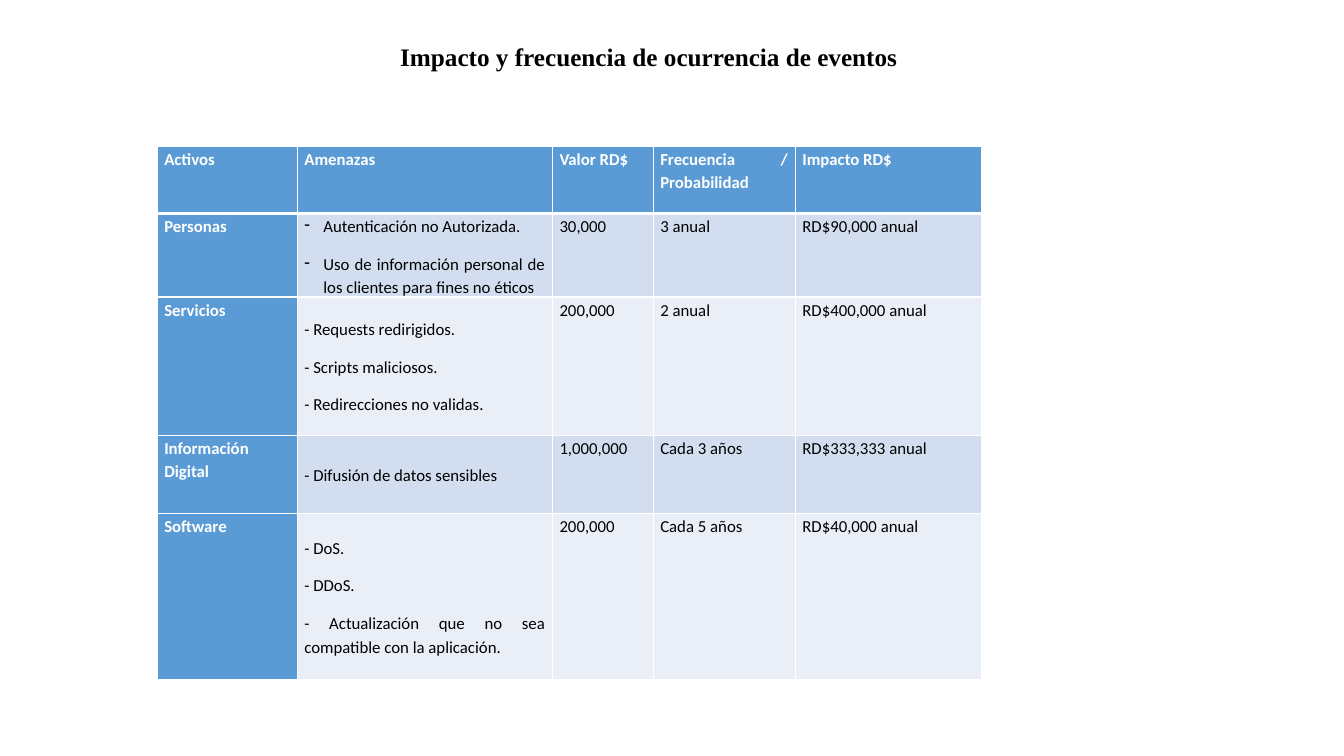
from dataclasses import dataclass
from typing import Any

from lxml import etree
from pptx import Presentation
from pptx.dml.color import RGBColor
from pptx.enum.text import MSO_ANCHOR, MSO_AUTO_SIZE, PP_ALIGN
from pptx.oxml.ns import qn
from pptx.util import Cm, Pt

LEFT, JUSTIFY = PP_ALIGN.LEFT, PP_ALIGN.JUSTIFY
TOP, MIDDLE = MSO_ANCHOR.TOP, MSO_ANCHOR.MIDDLE
FIT_SHAPE = MSO_AUTO_SIZE.SHAPE_TO_FIT_TEXT

WHITE, BLACK, BLUE = "FFFFFF", "000000", "5B9BD5"
BANDS = ("D2DEEF", "EAEFF7")
THREAT_COLUMN = 1
COLUMN_WIDTHS = (3.53, 6.43, 2.54, 3.58, 4.7)
HEADINGS = ("Activos", "Amenazas", "Valor RD$", "Frecuencia / Probabilidad", "Impacto RD$")
HEADING_HEIGHT = 1.7
TABLE_HEIGHT = 13.44

TITLE_FONT = {"name": "Times New Roman", "size": Pt(18), "bold": True}
LABEL_FONT = {"name": "Calibri", "size": Pt(12), "bold": True}
BODY_FONT = {**LABEL_FONT, "bold": False}
CELL_PARAGRAPH = {"alignment": JUSTIFY, "line_spacing": 1.15, "space_after": Pt(10)}
CELL_MARGINS = {
    "margin_left": Cm(0.18),
    "margin_right": Cm(0.18),
    "margin_top": 0,
    "margin_bottom": 0,
}


@dataclass(frozen=True)
class Asset:
    name: str
    threats: tuple[str, ...]
    value: str
    frequency: str
    impact: str
    height: float
    bulleted: bool = False


ASSETS = (
    Asset(
        "Personas",
        (
            "Autenticación no Autorizada.",
            "Uso de información personal de los clientes para fines no éticos",
        ),
        "30,000", "3 anual", "RD$90,000 anual", 1.32, bulleted=True,
    ),
    Asset(
        "Servicios",
        ("- Requests redirigidos.", "- Scripts maliciosos.", "- Redirecciones no validas."),
        "200,000", "2 anual", "RD$400,000 anual", 3.48,
    ),
    Asset(
        "Información Digital",
        ("- Difusión de datos sensibles",),
        "1,000,000", "Cada 3 años", "RD$333,333 anual", 1.98,
    ),
    Asset(
        "Software",
        ("- DoS.", "- DDoS.", "- Actualización que no sea compatible con la aplicación."),
        "200,000", "Cada 5 años", "RD$40,000 anual", 4.17,
    ),
)


def apply_format(target: Any, values: dict[str, Any]) -> None:
    for name, value in values.items():
        setattr(target, name, value)


def set_color(color_format: Any, color: str) -> None:
    color_format.rgb = RGBColor.from_string(color)


def add_text(paragraph: Any, text: str, font: dict[str, Any], color: str) -> None:
    run = paragraph.add_run()
    run.text = text
    apply_format(run.font, font)
    set_color(run.font.color, color)


def add_dash_bullet(paragraph: Any) -> None:
    properties = paragraph._p.get_or_add_pPr()
    properties.set("marL", str(Cm(0.48)))
    properties.set("indent", str(-Cm(0.48)))
    etree.SubElement(properties, qn("a:buChar"), char="-")


def add_borders(cell: Any, top: float, bottom: float) -> None:
    properties = cell._tc.get_or_add_tcPr()
    for side, width in (("lnL", 1), ("lnR", 1), ("lnT", top), ("lnB", bottom)):
        line = etree.SubElement(properties, qn(f"a:{side}"), w=str(Pt(width)))
        fill = etree.SubElement(line, qn("a:solidFill"))
        etree.SubElement(fill, qn("a:srgbClr"), val=WHITE)


def fill_cell(
    table: Any, row: int, column: int, texts: tuple[str, ...], bulleted: bool = False
) -> None:
    cell = table.cell(row, column)
    is_label = row == 0 or column == 0
    add_borders(cell, top=3 if row == 1 else 1, bottom=3 if row == 0 else 1)
    cell.fill.solid()
    set_color(cell.fill.fore_color, BLUE if is_label else BANDS[(row - 1) % 2])
    apply_format(cell, CELL_MARGINS)
    cell.vertical_anchor = MIDDLE if row and column == THREAT_COLUMN else TOP
    frame = cell.text_frame
    for index, text in enumerate(texts):
        paragraph = frame.add_paragraph() if index else frame.paragraphs[0]
        if bulleted:
            add_dash_bullet(paragraph)
        apply_format(paragraph, CELL_PARAGRAPH)
        add_text(
            paragraph,
            text,
            LABEL_FONT if is_label else BODY_FONT,
            WHITE if is_label else BLACK,
        )


def add_title(slide: Any) -> None:
    title = slide.shapes.title
    apply_format(
        title,
        {"left": Cm(9.83), "top": Cm(0.91), "width": Cm(13.34), "height": Cm(1.02)},
    )
    frame = title.text_frame
    apply_format(
        frame, {"word_wrap": False, "auto_size": FIT_SHAPE, "vertical_anchor": TOP}
    )
    paragraph = frame.paragraphs[0]
    paragraph.alignment = LEFT
    add_text(paragraph, "Impacto y frecuencia de ocurrencia de eventos", TITLE_FONT, BLACK)


def add_risk_table(slide: Any) -> None:
    shape = slide.shapes.add_table(
        len(ASSETS) + 1, len(HEADINGS),
        Cm(3.96), Cm(3.68), Cm(sum(COLUMN_WIDTHS)), Cm(TABLE_HEIGHT),
    )
    table = shape.table
    apply_format(table, {"first_row": True, "first_col": True, "horz_banding": False})
    for column, width in zip(table.columns, COLUMN_WIDTHS):
        column.width = Cm(width)
    heights = (HEADING_HEIGHT, *(asset.height for asset in ASSETS))
    for row, height in zip(table.rows, heights):
        row.height = Cm(height)
    shape.height = Cm(TABLE_HEIGHT)

    for column, heading in enumerate(HEADINGS):
        fill_cell(table, 0, column, (heading,))
    for row, asset in enumerate(ASSETS, start=1):
        contents = (
            (asset.name,), asset.threats, (asset.value,), (asset.frequency,), (asset.impact,)
        )
        for column, texts in enumerate(contents):
            fill_cell(table, row, column, texts, asset.bulleted and column == THREAT_COLUMN)


def main() -> None:
    presentation = Presentation()
    apply_format(presentation, {"slide_width": Cm(33.87), "slide_height": Cm(19.05)})
    slide = presentation.slides.add_slide(presentation.slide_layouts[5])
    add_title(slide)
    add_risk_table(slide)
    presentation.save("out.pptx")


if __name__ == "__main__":
    main()
